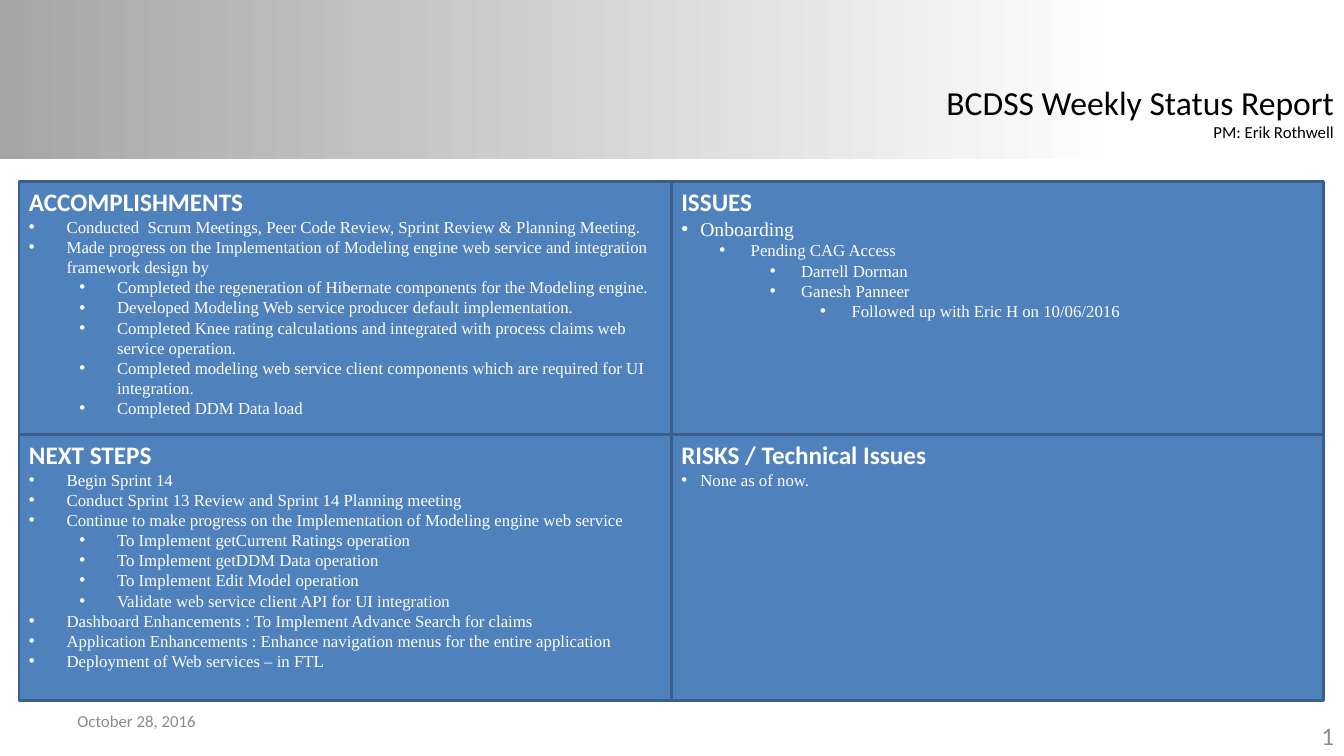
from dataclasses import dataclass

from lxml.etree import SubElement
from pptx import Presentation
from pptx.dml.color import RGBColor as Rgb
from pptx.enum.shapes import MSO_SHAPE as Shape
from pptx.enum.text import MSO_ANCHOR as Anchor, MSO_AUTO_SIZE as Auto, PP_ALIGN as Align
from pptx.oxml.ns import qn
from pptx.util import Cm, Pt


@dataclass(frozen=True)
class Theme:
    sans: str = "Calibri"
    serif: str = "Times New Roman"
    ink: str = "000000"
    paper: str = "FFFFFF"
    shade: str = "A6A6A6"
    panel: str = "4F81BD"
    edge: str = "3A5F8C"
    muted: str = "8C8C8C"
    title: int = 24
    head: int = 18
    lead: int = 14
    body: int = 12


T = Theme()
WIDTH, HEIGHT = 33.87, 19.05
STEP = 1.27  # indent added by each list level
WIDE = (0.95, 0.95)  # hanging indent: first level, deeper levels
TIGHT = (0.48, 0.79)

# Each item is level, text, size
DONE = [
    (0, "Conducted  Scrum Meetings, Peer Code Review, Sprint Review & Planning Meeting.", T.body),
    (0, "Made progress on the Implementation of Modeling engine web service and integration "
        "framework design by", T.body),
    (1, "Completed the regeneration of Hibernate components for the Modeling engine.", T.body),
    (1, "Developed Modeling Web service producer default implementation.", T.body),
    (1, "Completed Knee rating calculations and integrated with process claims web "
        "service operation.", T.body),
    (1, "Completed modeling web service client components which are required for UI "
        "integration.", T.body),
    (1, "Completed DDM Data load", T.body),
]
NEXT = [
    (0, "Begin Sprint 14", T.body),
    (0, "Conduct Sprint 13 Review and Sprint 14 Planning meeting", T.body),
    (0, "Continue to make progress on the Implementation of Modeling engine web service", T.body),
    (1, "To Implement getCurrent Ratings operation", T.body),
    (1, "To Implement getDDM Data operation", T.body),
    (1, "To Implement Edit Model operation", T.body),
    (1, "Validate web service client API for UI integration", T.body),
    (0, "Dashboard Enhancements : To Implement Advance Search for claims", T.body),
    (0, "Application Enhancements : Enhance navigation menus for the entire application", T.body),
    (0, "Deployment of Web services – in FTL", T.body),
]
ISSUES = [
    (0, "Onboarding", T.lead),
    (1, "Pending CAG Access", T.body),
    (2, "Darrell Dorman", T.body),
    (2, "Ganesh Panneer", T.body),
    (3, "Followed up with Eric H on 10/06/2016", T.body),
]
RISKS = [(0, "None as of now.", T.body)]

# Rows of panels: heading, items, hanging indents
PANELS = [
    [("ACCOMPLISHMENTS", DONE, WIDE), ("ISSUES", ISSUES, TIGHT)],
    [("NEXT STEPS", NEXT, WIDE), ("RISKS / Technical Issues", RISKS, TIGHT)],
]


def style(par, size, color, face=T.sans, bold=False, align=Align.LEFT):
    par.alignment = align
    font = par.font
    font.name, font.size, font.bold = face, Pt(size), bold
    font.color.rgb = Rgb.from_string(color)


def bullet(par, level, hangs):
    par.level = level
    hang = hangs[min(level, 1)]
    props = par._p.get_or_add_pPr()
    props.set("marL", str(Cm(hangs[0] + STEP * level)))
    props.set("indent", str(-Cm(hang)))
    SubElement(props, qn("a:buFont"), typeface="Arial")
    SubElement(props, qn("a:buChar"), char="•")


def block(slide, box):
    shape = slide.shapes.add_shape(Shape.RECTANGLE, *map(Cm, box))
    shape.shadow.inherit = False
    return shape


def label(slide, box, lines, color, align=Align.LEFT, anchor=Anchor.MIDDLE, wrap=True):
    frame = slide.shapes.add_textbox(*map(Cm, box)).text_frame
    frame.word_wrap, frame.vertical_anchor = wrap, anchor
    frame.text = "\n".join(text for text, size in lines)
    for par, (text, size) in zip(frame.paragraphs, lines):
        style(par, size, color, align=align)
    return frame


def header(slide, box):
    # Fading band
    left, top, width, height = box
    band = block(slide, box)
    band.line.fill.background()
    band.fill.gradient()
    band.fill.gradient_angle = 0
    for stop, place, color in zip(band.fill.gradient_stops, (0, 0.84), (T.shade, T.paper)):
        stop.position = place
        stop.color.rgb = Rgb.from_string(color)

    # Title at the right edge
    wide, high = 10.36, 1.8
    spot = (left + width - wide, top + height - high - 0.28, wide, high)
    lines = [("BCDSS Weekly Status Report", T.title), ("PM: Erik Rothwell", T.body)]
    frame = label(slide, spot, lines, T.ink, Align.RIGHT, Anchor.TOP, False)
    frame.auto_size = Auto.SHAPE_TO_FIT_TEXT


def panel(slide, box, head, items, hangs):
    shape = block(slide, box)
    shape.fill.solid()
    shape.fill.fore_color.rgb = Rgb.from_string(T.panel)
    shape.line.color.rgb = Rgb.from_string(T.edge)
    shape.line.width = Pt(2)
    frame = shape.text_frame
    frame.word_wrap, frame.vertical_anchor = True, Anchor.TOP
    frame.text = head
    style(frame.paragraphs[0], T.head, T.paper, bold=True)
    for level, text, size in items:
        par = frame.add_paragraph()
        par.text = text
        bullet(par, level, hangs)
        style(par, size, T.paper, T.serif)


def grid(slide, box):
    left, top, width, height = box
    wide = width / 2
    upper = 6.37
    for row, (drop, high) in zip(PANELS, [(0, upper), (upper, height - upper)]):
        for col, parts in enumerate(row):
            panel(slide, (left + col * wide, top + drop, wide, high), *parts)


def footer(slide, box):
    left, top, width, height = box
    wide, high = 7.9, 1.02
    label(slide, (left + 1.7, top, wide, high), [("October 28, 2016", T.body)], T.muted)
    spot = (left + width - wide, top + height - high, wide, high)
    label(slide, spot, [("1", T.head)], T.muted, Align.RIGHT)


def main():
    deck = Presentation()
    deck.slide_width, deck.slide_height = Cm(WIDTH), Cm(HEIGHT)
    slide = deck.slides.add_slide(deck.slide_layouts[6])
    header(slide, (0, 0, WIDTH, 4.01))
    grid(slide, (0.48, 4.57, 32.88, 13.08))
    footer(slide, (0, 17.65, WIDTH, 1.38))
    deck.save("out.pptx")


if __name__ == "__main__":
    main()
